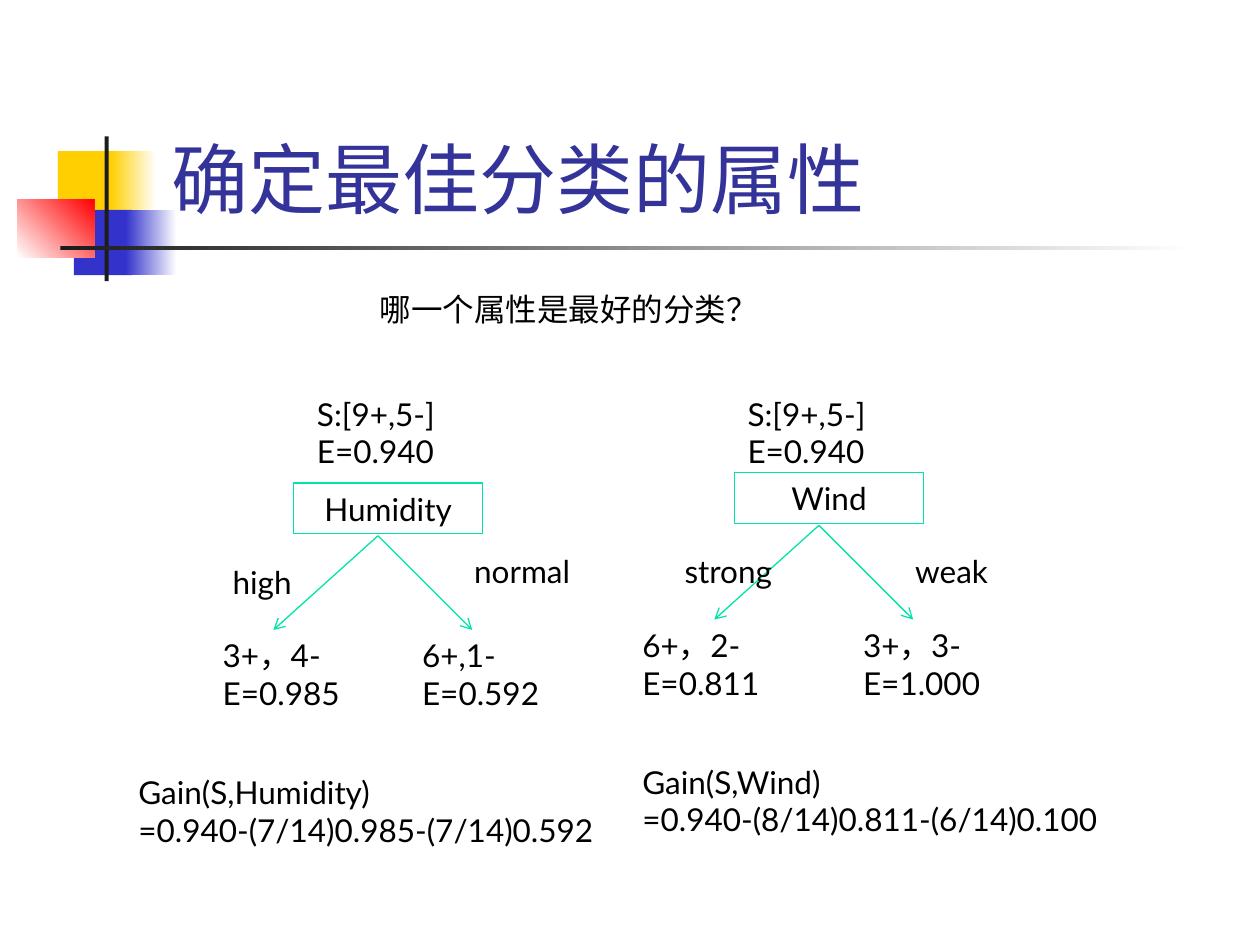
from dataclasses import dataclass

from lxml import etree
from pptx import Presentation
from pptx.dml.color import RGBColor
from pptx.enum.shapes import MSO_CONNECTOR, MSO_SHAPE
from pptx.enum.text import MSO_ANCHOR, MSO_AUTO_SIZE, PP_ALIGN
from pptx.oxml.ns import qn
from pptx.util import Cm, Pt

RECTANGLE = MSO_SHAPE.RECTANGLE
STRAIGHT = MSO_CONNECTOR.STRAIGHT
LEFT, CENTER = PP_ALIGN.LEFT, PP_ALIGN.CENTER


@dataclass(frozen=True)
class Theme:
    font: str = "Lato"
    title_size: int = 44
    body_size: int = 18
    line_width: float = 0.75
    title: str = "333399"
    text: str = "000000"
    node_line: str = "00E4A8"
    branch: str = "00E4A7"
    yellow: str = "FFCF01"
    blue: str = "3333CC"
    red: str = "FF0000"
    dark: str = "1C1C1C"
    white: str = "FFFFFF"


@dataclass(frozen=True)
class Branch:
    label: str
    label_at: tuple
    leaf: tuple
    leaf_left: float
    tip: float


@dataclass(frozen=True)
class Split:
    attribute: str
    fork: tuple
    sample_left: float
    branches: tuple
    gain: str


THEME = Theme()
SAMPLE = ("S:[9+,5-]", "E=0.940")
LINE_HEIGHT, LEAF_HEIGHT = 1.02, 1.78

# Places inside a split are in cm from the corner of its box
HUMIDITY = Split(
    "Humidity", (5.08, 2.97), 3.6,
    (Branch("high", (1.9, 3.4), ("3+，4-", "E=0.985"), 1.7, -2.11),
     Branch("normal", (6.77, 3.18), ("6+,1-", "E=0.592"), 5.72, 1.9)),
    "=0.940-(7/14)0.985-(7/14)0.592")
WIND = Split(
    "Wind", (3.81, 2.76), 2.12,
    (Branch("strong", (0.85, 3.18), ("6+，2-", "E=0.811"), 0, -2.11),
     Branch("weak", (5.5, 3.18), ("3+，3-", "E=1.000"), 4.45, 1.9)),
    "=0.940-(8/14)0.811-(6/14)0.100")


def rgb(value):
    return RGBColor.from_string(value)


def write(frame, lines, size, color, align=LEFT):
    for index, line in enumerate(lines):
        paragraph = frame.paragraphs[0] if index == 0 else frame.add_paragraph()
        paragraph.alignment = align
        run = paragraph.add_run()
        run.text = line
        run.font.name = THEME.font
        run.font.size = Pt(size)
        run.font.color.rgb = rgb(color)


def add_text(slide, left, top, width, height, *lines):
    box = slide.shapes.add_textbox(Cm(left), Cm(top), Cm(width), Cm(height))
    box.text_frame.word_wrap = True
    box.text_frame.auto_size = MSO_AUTO_SIZE.SHAPE_TO_FIT_TEXT
    write(box.text_frame, lines, THEME.body_size, THEME.text)


def add_block(slide, left, top, width, height, start, end=None, angle=0):
    block = slide.shapes.add_shape(RECTANGLE, Cm(left), Cm(top), Cm(width), Cm(height))
    block.shadow.inherit = False
    block.line.fill.background()
    if end is None:
        block.fill.solid()
        block.fill.fore_color.rgb = rgb(start)
        return
    block.fill.gradient()
    block.fill.gradient_angle = angle
    for stop, color in zip(block.fill.gradient_stops, (start, end)):
        stop.color.rgb = rgb(color)


def add_arrow(slide, x1, y1, x2, y2):
    arrow = slide.shapes.add_connector(STRAIGHT, Cm(x1), Cm(y1), Cm(x2), Cm(y2))
    arrow.line.color.rgb = rgb(THEME.branch)
    arrow.line.width = Pt(THEME.line_width)
    etree.SubElement(arrow.line._get_or_add_ln(), qn("a:tailEnd"), type="arrow")
    etree.SubElement(arrow._element.spPr, qn("a:effectLst"))


def draw_ornament(slide, left, top):
    """Overlapping colour blocks, crossed by a bar and a fading rule."""
    add_block(slide, left + 0.82, top + 0.3, 1.22, 1.32, THEME.yellow)
    add_block(slide, left + 1.88, top + 0.3, 0.92, 1.32, THEME.yellow, THEME.white)
    add_block(slide, left + 1.14, top + 1.48, 1.17, 1.32, THEME.blue)
    add_block(slide, left + 2.19, top + 1.48, 1.02, 1.32, THEME.blue, THEME.white)
    add_block(slide, left, top + 1.27, 1.55, 1.17, THEME.white, THEME.red, 45)
    add_block(slide, left + 1.76, top, 0.08, 2.92, THEME.dark)
    add_block(slide, left + 0.87, top + 2.2, 22.86, 0.1, THEME.dark, THEME.white)


def draw_heading(slide, left, top, width, height):
    title = slide.shapes.title
    title.left, title.top, title.width, title.height = map(Cm, (left, top, width, height))
    title.text_frame.vertical_anchor = MSO_ANCHOR.BOTTOM
    write(title.text_frame, ["确定最佳分类的属性"], THEME.title_size, THEME.title)
    # Bring the title in front of the ornament
    slide.shapes._spTree.append(title._element)


def draw_split(slide, left, top, split):
    fork_x, fork_y = left + split.fork[0], top + split.fork[1]
    leaf_top = fork_y + 1.9

    # Sample before the split
    add_text(slide, left + split.sample_left, top, 3.18, LEAF_HEIGHT, *SAMPLE)

    # Attribute node
    node = slide.shapes.add_shape(RECTANGLE, Cm(fork_x - 1.7), Cm(fork_y - 1.06),
                                  Cm(3.81), Cm(LINE_HEIGHT))
    node.shadow.inherit = False
    node.fill.background()
    node.line.color.rgb = rgb(THEME.node_line)
    node.line.width = Pt(THEME.line_width)
    write(node.text_frame, [split.attribute], THEME.body_size, THEME.text, CENTER)

    # Branches, their labels and leaves
    for branch in split.branches:
        add_arrow(slide, fork_x, fork_y, fork_x + branch.tip, leaf_top)
        label_x, label_y = branch.label_at
        add_text(slide, left + label_x, top + label_y, 3, LINE_HEIGHT, branch.label)
        add_text(slide, left + branch.leaf_left, leaf_top, 2.96, LEAF_HEIGHT, *branch.leaf)

    # Information gain
    add_text(slide, left, fork_y + 4.66, 11.64, LEAF_HEIGHT,
             f"Gain(S,{split.attribute})", split.gain)


def main():
    deck = Presentation()
    deck.slide_width, deck.slide_height = Cm(25.4), Cm(19.05)
    slide = deck.slides.add_slide(deck.slide_layouts[5])

    draw_ornament(slide, 0.35, 2.75)
    draw_heading(slide, 3.2, 0.58, 21.64, 4.06)
    add_text(slide, 7.41, 5.72, 8.68, LINE_HEIGHT, "哪一个属性是最好的分类？")
    draw_split(slide, 2.54, 7.83, HUMIDITY)
    draw_split(slide, 12.7, 7.83, WIND)

    deck.save("out.pptx")


if __name__ == "__main__":
    main()
